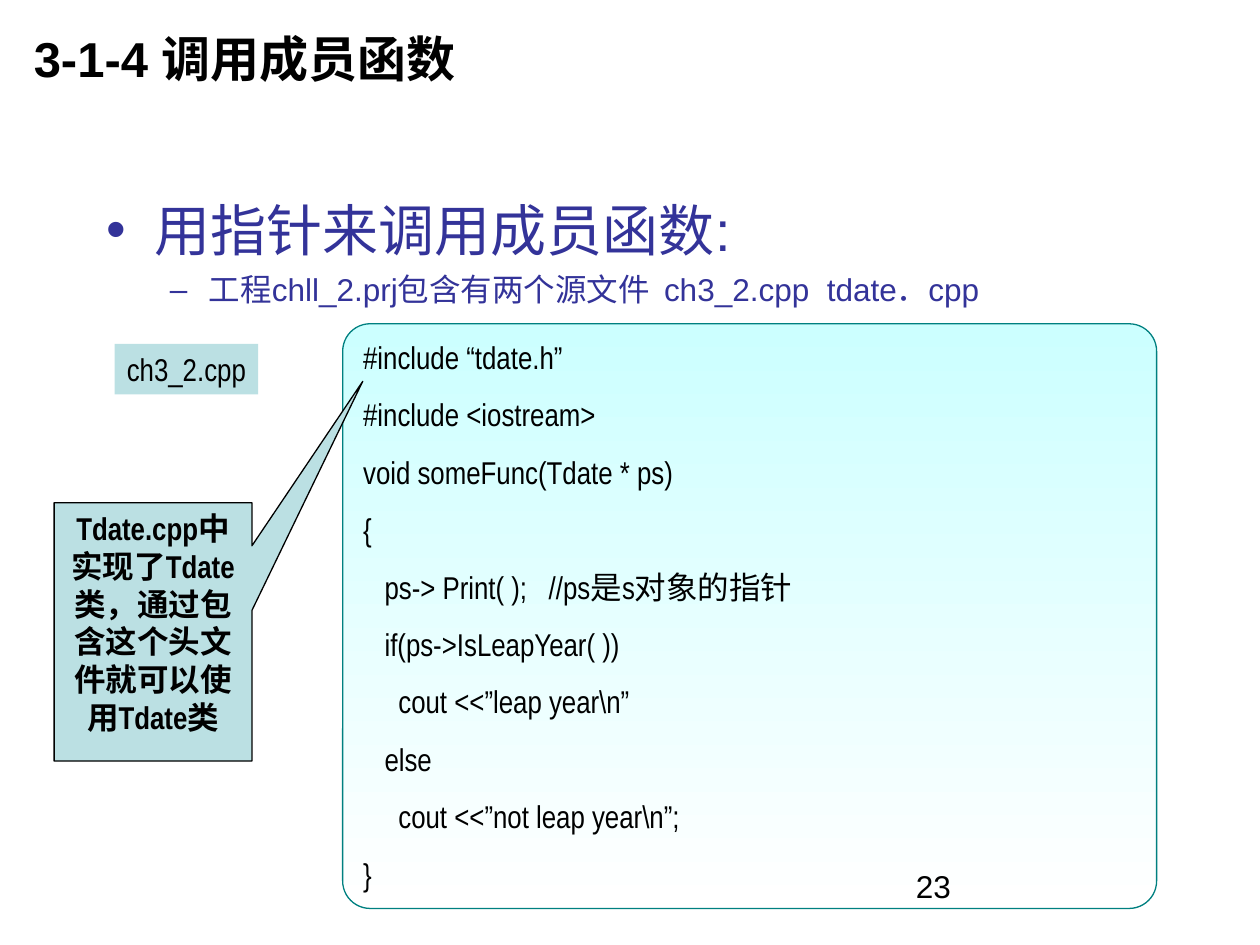
from lxml import etree
from pptx import Presentation
from pptx.dml.color import RGBColor
from pptx.enum.shapes import MSO_SHAPE
from pptx.enum.text import MSO_ANCHOR, PP_ALIGN
from pptx.oxml.ns import qn
from pptx.util import Inches, Pt

LEFT, CENTER = PP_ALIGN.LEFT, PP_ALIGN.CENTER
TOP, MIDDLE = MSO_ANCHOR.TOP, MSO_ANCHOR.MIDDLE
RECT, ROUND = MSO_SHAPE.RECTANGLE, MSO_SHAPE.ROUNDED_RECTANGLE
CALLOUT = MSO_SHAPE.RECTANGULAR_CALLOUT

BLACK, NAVY, TEAL = "000000", "333399", "008080"
PALE, CYAN, WHITE = "BBE0E3", "CCFFFF", "FFFFFF"
NARROW = "Arial Narrow"
GAP = 11.2  # points before each line in the shapes

TITLE = "3-1-4 调用成员函数"
# text, size, space before, left margin, hanging indent, bullet
POINTS = [
    ("用指针来调用成员函数:", 32, 8, 0.38, 0.38, "•"),
    ("工程chll_2.prj包含有两个源文件  ch3_2.cpp  tdate．cpp",
     18, 4.5, 0.81, 0.31, "–"),
]
# indent in inches, code
CODE = [
    (0, "#include “tdate.h”"),
    (0, "#include <iostream>"),
    (0, "void someFunc(Tdate * ps)"),
    (0, "{"),
    (0.17, "ps-> Print( );   //ps是s对象的指针"),
    (0.17, "if(ps->IsLeapYear( ))"),
    (0.28, "cout <<”leap year\\n”"),
    (0.17, "else"),
    (0.28, "cout <<”not leap year\\n”;"),
    (0, "}"),
]
FILE = "ch3_2.cpp"
NOTE = "Tdate.cpp中实现了Tdate类，通过包含这个头文件就可以使用Tdate类"
PAGE = "23"


def rgb(code):
    return RGBColor.from_string(code)


def write(shape, lines, size=18, font="Arial", color=BLACK, bold=False,
          align=LEFT, anchor=TOP, before=0, wrap=True):
    frame = shape.text_frame
    frame.text = "\n".join(lines)
    frame.word_wrap = wrap
    frame.vertical_anchor = anchor
    for para in frame.paragraphs:
        para.alignment = align
        para.space_before = Pt(before)
        style = para.runs[0].font
        style.size, style.name, style.bold = Pt(size), font, bold
        style.color.rgb = rgb(color)
    return frame.paragraphs


def indent(para, left, hang=0):
    props = para._p.get_or_add_pPr()
    props.set("marL", str(Inches(left)))
    props.set("indent", str(-Inches(hang)))
    return props


def bullet(props, char, color):
    tint = etree.SubElement(props, qn("a:buClr"))
    etree.SubElement(tint, qn("a:srgbClr"), val=color)
    etree.SubElement(props, qn("a:buFont"), typeface="Arial")
    etree.SubElement(props, qn("a:buChar"), char=char)


def add_box(slide, *spot):
    return slide.shapes.add_textbox(*map(Inches, spot))


def add_shape(slide, kind, spot, fill=None, line=None):
    shape = slide.shapes.add_shape(kind, *map(Inches, spot))
    shape.shadow.inherit = False
    if fill:
        shape.fill.solid()
        shape.fill.fore_color.rgb = rgb(fill)
    if line:
        shape.line.color.rgb = rgb(line)
        shape.line.width = Pt(0.75)
    else:
        shape.line.fill.background()
    return shape


def main():
    deck = Presentation()
    deck.slide_width, deck.slide_height = Inches(10), Inches(7.5)
    slide = deck.slides.add_slide(deck.slide_layouts[6])

    write(add_box(slide, 0.17, 0, 7.5, 0.92), [TITLE], size=28, bold=True,
          anchor=MIDDLE)

    body = add_box(slide, 0.75, 1.5, 8.5, 5.17)
    paras = write(body, [point[0] for point in POINTS], color=NAVY)
    for para, (_, size, before, left, hang, char) in zip(paras, POINTS):
        para.runs[0].font.size = Pt(size)
        para.space_before = Pt(before)
        bullet(indent(para, left, hang), char, NAVY)
    paras[1].level = 1

    panel = add_shape(slide, ROUND, (2.72, 2.57, 6.46, 4.64), line=TEAL)
    panel.adjustments[0] = 0.047
    panel.fill.gradient()
    panel.fill.gradient_angle = 270
    for stop, color, place in zip(panel.fill.gradient_stops,
                                  (CYAN, WHITE), (0, 1)):
        stop.color.rgb, stop.position = rgb(color), place
    paras = write(panel, [code for _, code in CODE], font=NARROW, before=GAP)
    for para, (left, _) in zip(paras, CODE):
        indent(para, left)

    label = add_shape(slide, RECT, (0.91, 2.73, 1.14, 0.4), PALE)
    write(label, [FILE], font=NARROW, align=CENTER, before=GAP, wrap=False)

    note = add_shape(slide, CALLOUT, (0.43, 3.99, 1.57, 2.05), PALE, BLACK)
    note.adjustments[0], note.adjustments[1] = 1.06, -0.97
    write(note, [NOTE], font=NARROW, bold=True, align=CENTER, before=GAP)

    write(add_box(slide, 7.17, 6.83, 2.33, 0.52), [PAGE])
    deck.save("out.pptx")


if __name__ == "__main__":
    main()
